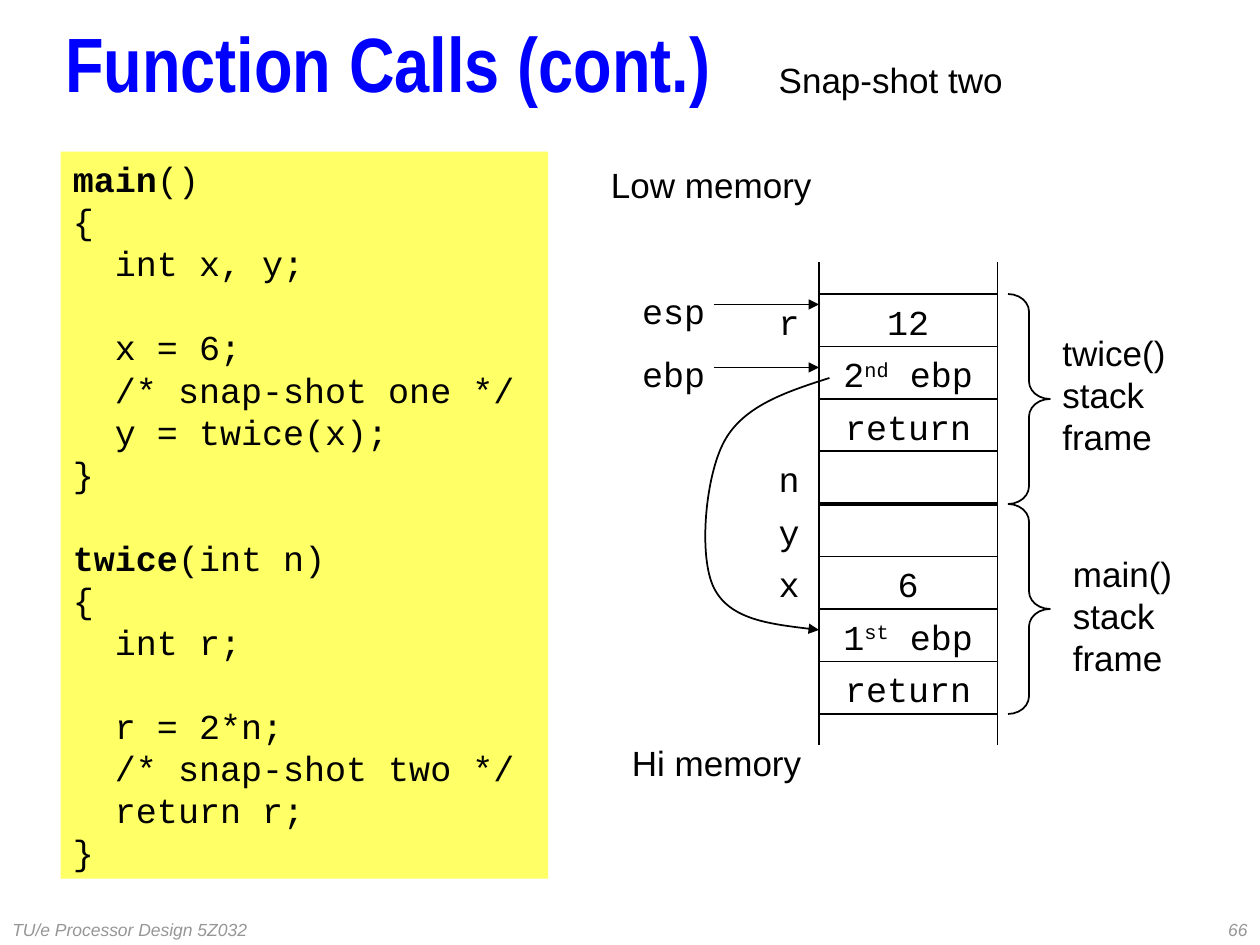
from lxml import etree
from pptx import Presentation
from pptx.dml.color import RGBColor
from pptx.enum.shapes import MSO_CONNECTOR as Connector, MSO_SHAPE as Shape
from pptx.enum.text import MSO_ANCHOR as Anchor, PP_ALIGN as Align
from pptx.oxml.ns import qn
from pptx.util import Pt

INK, BLUE, YELLOW, GRAY = "010000", "0000FF", "FFFF66", "969696"
SANS, MONO = "Arial", "Courier New"
LINE_HEIGHT = 24
STACK_LEFT, STACK_TOP, CELL_WIDTH, CELL_HEIGHT = 468, 168, 102, 30
STACK_RIGHT = STACK_LEFT + CELL_WIDTH

CODE = [
    ["*main", "()"], ["{"], ["  int x, y;"], [],
    ["  x = 6;"], ["  /* snap-shot one */"], ["  y = twice(x);"], ["}"], [],
    ["*twice", "(int n)"], ["{"], ["  int r;"], [],
    ["  r = 2*n;"], ["  /* snap-shot two */"], ["  return r;"], ["}"],
]
CELLS = [
    ("r", ["12"]), ("", ["2", "^nd", " ebp"]), ("", ["return"]), ("n", []),
    ("y", []), ("x", ["6"]), ("", ["1", "^st", " ebp"]), ("", ["return"]),
]


def color(value):
    return RGBColor.from_string(value)


def add_run(paragraph, text, font, size, ink, bold=False, italic=False):
    run = paragraph.add_run()
    run.text = text.lstrip("*^") if text[0] in "*^" else text
    run.font.name, run.font.size = font, Pt(size)
    run.font.bold, run.font.italic = bold or text[0] == "*", italic
    run.font.color.rgb = color(ink)
    if text[0] == "^":
        run.font._element.set("baseline", "30000")


def write_lines(shape, lines, font, align=Align.LEFT):
    frame = shape.text_frame
    frame.word_wrap = False
    frame.vertical_anchor = Anchor.TOP
    paragraph, gap = frame.paragraphs[0], 0
    for index, runs in enumerate(lines):
        if not runs:
            gap += LINE_HEIGHT
            continue
        if index:
            paragraph = frame.add_paragraph()
        paragraph.alignment = align
        paragraph.line_spacing = Pt(LINE_HEIGHT)
        if gap:
            paragraph.space_before, gap = Pt(gap), 0
        for text in runs:
            add_run(paragraph, text, font, 20, INK)


def add_label(slide, left, top, width, lines, font=SANS, align=Align.CENTER):
    height = LINE_HEIGHT * len(lines) + 7.2
    box = slide.shapes.add_textbox(Pt(left), Pt(top), Pt(width), Pt(height))
    write_lines(box, [[line] for line in lines], font, align)


def add_banner(slide, left, top, width, height, text, font, size, ink,
               align=Align.LEFT, bold=False, italic=False):
    box = slide.shapes.add_textbox(Pt(left), Pt(top), Pt(width), Pt(height))
    box.text_frame.word_wrap = True
    box.text_frame.vertical_anchor = Anchor.MIDDLE
    paragraph = box.text_frame.paragraphs[0]
    paragraph.alignment = align
    add_run(paragraph, text, font, size, ink, bold, italic)
    return paragraph


def add_outline(slide, kind, left, top, width, height):
    shape = slide.shapes.add_shape(kind, Pt(left), Pt(top), Pt(width), Pt(height))
    shape.shadow.inherit = False
    shape.fill.background()
    shape.line.color.rgb = color(INK)
    shape.line.width = Pt(1)
    return shape


def add_arrowhead(shape):
    etree.SubElement(shape.line._get_or_add_ln(), qn("a:tailEnd"), type="triangle")


def add_line(slide, x1, y1, x2, y2, width=1, arrow=False):
    line = slide.shapes.add_connector(Connector.STRAIGHT, Pt(x1), Pt(y1), Pt(x2), Pt(y2))
    line.line.color.rgb = color(INK)
    line.line.width = Pt(width)
    if arrow:
        add_arrowhead(line)
    etree.SubElement(line._element.spPr, qn("a:effectLst"))


def add_curved_arrow(slide, start, controls):
    builder = slide.shapes.build_freeform(*start, scale=Pt(1))
    builder.add_line_segments(controls, close=False)
    shape = builder.convert_to_shape()
    outline = shape._element.spPr.find(".//" + qn("a:path"))
    segments = outline.findall(qn("a:lnTo"))
    for first in range(0, len(segments), 3):
        curve = etree.SubElement(outline, qn("a:cubicBezTo"))
        for segment in segments[first:first + 3]:
            curve.append(segment[0])
            outline.remove(segment)
    shape.shadow.inherit = False
    shape.fill.background()
    shape.line.color.rgb = color(INK)
    shape.line.width = Pt(1)
    add_arrowhead(shape)


def add_code(slide):
    panel = add_outline(slide, Shape.RECTANGLE, 34.6, 86.7, 278.6, 415.4)
    panel.fill.solid()
    panel.fill.fore_color.rgb = color(YELLOW)
    panel.line.fill.background()
    write_lines(panel, CODE, MONO)


def add_stack(slide):
    for row, (name, runs) in enumerate(CELLS):
        top = STACK_TOP + row * CELL_HEIGHT
        cell = add_outline(slide, Shape.RECTANGLE, STACK_LEFT, top, CELL_WIDTH, CELL_HEIGHT)
        write_lines(cell, [runs], MONO, Align.CENTER)
        if name:
            add_label(slide, 436, top, 30, [name], MONO)
    bottom = STACK_TOP + len(CELLS) * CELL_HEIGHT
    for x in (STACK_LEFT, STACK_RIGHT):
        add_line(slide, x, STACK_TOP - 18, x, STACK_TOP)
        add_line(slide, x, bottom, x, bottom + 18)
    middle = (STACK_TOP + bottom) / 2
    add_line(slide, STACK_LEFT, middle, STACK_RIGHT, middle, 2.25)


def add_frame(slide, top, name, label_left, label_top):
    brace = add_outline(slide, Shape.RIGHT_BRACE, 576, top, 24, 4 * CELL_HEIGHT)
    brace.adjustments[0] = 0.42
    add_label(slide, label_left, label_top, 80, [name, "stack", "frame"], align=Align.LEFT)


def main():
    presentation = Presentation()
    presentation.slide_width, presentation.slide_height = Pt(720), Pt(540)
    slide = presentation.slides.add_slide(presentation.slide_layouts[6])

    title = add_banner(slide, 30.2, 12, 660, 60, "Function Calls (cont.)",
                       "Arial Narrow", 44, BLUE, bold=True)
    title.line_spacing = 0.7
    add_label(slide, 436, 30, 146, ["Snap-shot two"])
    add_code(slide)

    add_label(slide, 340, 90, 133, ["Low memory"])
    add_stack(slide)
    add_label(slide, 350, 420, 119, ["Hi memory"])

    for name, top in (("esp", 162), ("ebp", 198)):
        add_label(slide, 358, top, 54, [name], MONO)
        add_line(slide, 408, top + 12, STACK_LEFT, top + 12, arrow=True)
    add_curved_arrow(slide, (474, 216), [
        (449, 224), (425, 232), (414, 252),
        (403, 272), (399, 318), (408, 336),
        (417, 354), (443, 357), (468, 360),
    ])
    add_frame(slide, STACK_TOP, "twice()", 600, 186)
    add_frame(slide, STACK_TOP + 4 * CELL_HEIGHT, "main()", 606, 312)

    add_banner(slide, 570, 522, 150, 18, "66", SANS, 10, GRAY, Align.RIGHT, italic=True)
    add_banner(slide, 0, 522, 150, 18, "TU/e Processor Design 5Z032", SANS, 10, GRAY, italic=True)
    presentation.save("out.pptx")


if __name__ == "__main__":
    main()
